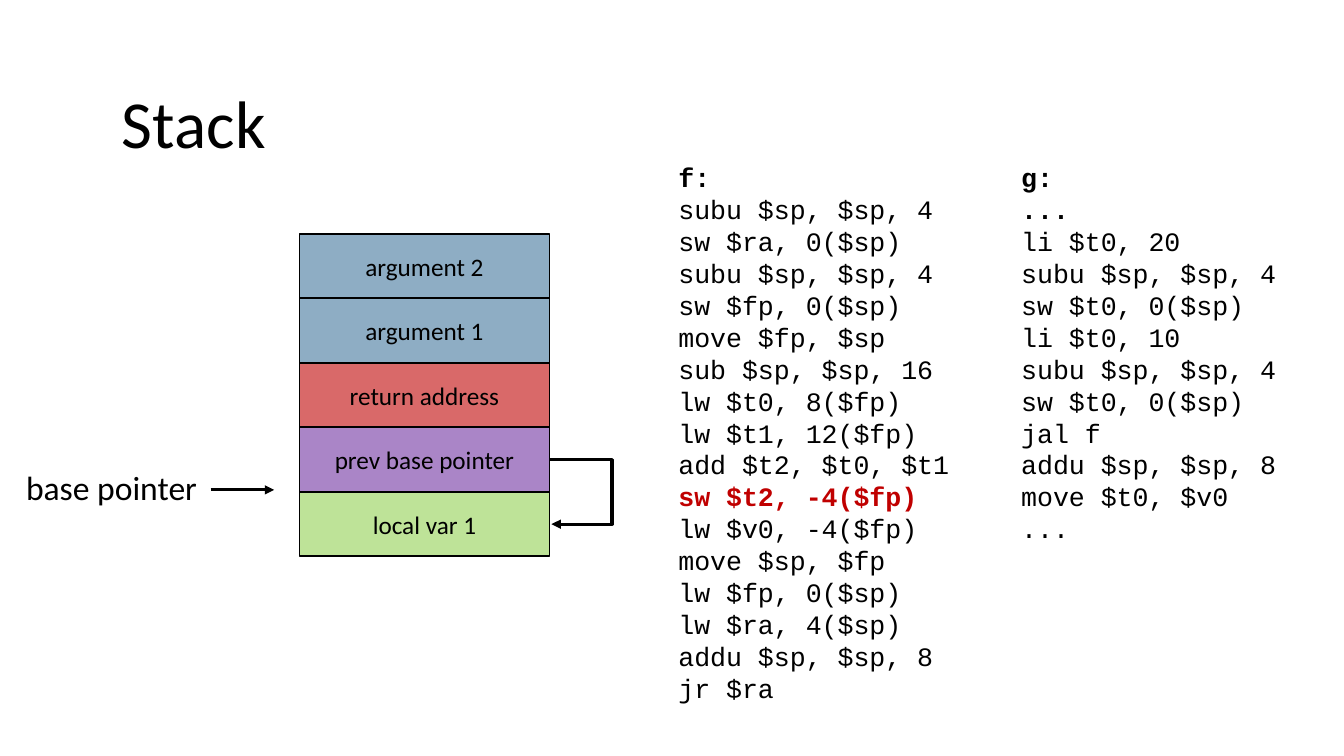
from lxml import etree
from pptx import Presentation
from pptx.dml.color import RGBColor
from pptx.enum.shapes import MSO_CONNECTOR, MSO_SHAPE
from pptx.enum.text import MSO_ANCHOR, PP_ALIGN
from pptx.oxml.ns import qn
from pptx.util import Inches, Pt

STRAIGHT, ELBOW = MSO_CONNECTOR.STRAIGHT, MSO_CONNECTOR.ELBOW
RECTANGLE = MSO_SHAPE.RECTANGLE
TOP, MIDDLE = MSO_ANCHOR.TOP, MSO_ANCHOR.MIDDLE
LEFT, CENTER = PP_ALIGN.LEFT, PP_ALIGN.CENTER

BLACK = RGBColor(0x00, 0x00, 0x00)
RED = RGBColor(0xC0, 0x00, 0x00)
PURPLE = RGBColor(0x70, 0x30, 0xA0)
BLUE = RGBColor(0x40, 0x74, 0x9B)
GREEN = RGBColor(0x92, 0xD0, 0x50)
TEXT_FONT, CODE_FONT = "Calibri", "Courier New"

TITLE = "Stack"
POINTER_LABEL = "base pointer"
STACK_CELLS = [
    ("argument 2", BLUE),
    ("argument 1", BLUE),
    ("return address", RED),
    ("prev base pointer", PURPLE),
    ("local var 1", GREEN),
]
F_CODE = [
    "f:", "subu $sp, $sp, 4", "sw $ra, 0($sp)", "subu $sp, $sp, 4",
    "sw $fp, 0($sp)", "move $fp, $sp", "sub $sp, $sp, 16", "lw $t0, 8($fp)",
    "lw $t1, 12($fp)", "add $t2, $t0, $t1", "sw $t2, -4($fp)",
    "lw $v0, -4($fp)", "move $sp, $fp", "lw $fp, 0($sp)", "lw $ra, 4($sp)",
    "addu $sp, $sp, 8", "jr $ra",
]
G_CODE = [
    "g:", "...", "li $t0, 20", "subu $sp, $sp, 4", "sw $t0, 0($sp)",
    "li $t0, 10", "subu $sp, $sp, 4", "sw $t0, 0($sp)", "jal f",
    "addu $sp, $sp, 8", "move $t0, $v0", "...",
]
# code lines, left edge, box height, indexes of bold lines, indexes of red lines
CODE_COLUMNS = [
    (F_CODE, 6.63, 5.54, {0, 10}, {10}),
    (G_CODE, 10.03, 3.94, {0, 1}, set()),
]

CELL_LEFT, CELL_TOP, CELL_WIDTH, CELL_HEIGHT = 2.97, 2.32, 2.48, 0.64
CELL_OPACITY = 59
LOOP_START, LOOP_WIDTH, LOOP_REACH = 5.46, 0.01, 0.62
CODE_TOP, CODE_WIDTH = 1.55, 3.25


def add_run(paragraph, text, size, font=TEXT_FONT, color=BLACK, bold=False):
    run = paragraph.add_run()
    run.text = text
    run.font.name = font
    run.font.size = Pt(size)
    run.font.bold = bold
    run.font.color.rgb = color


def add_text_box(slide, left, top, width, height):
    box = slide.shapes.add_textbox(Inches(left), Inches(top), Inches(width), Inches(height))
    box.text_frame.word_wrap = True
    return box.text_frame


def add_cell(slide, index, label, color):
    cell = slide.shapes.add_shape(
        RECTANGLE, Inches(CELL_LEFT), Inches(CELL_TOP + index * CELL_HEIGHT),
        Inches(CELL_WIDTH), Inches(CELL_HEIGHT))
    cell.shadow.inherit = False
    cell.fill.solid()
    cell.fill.fore_color.rgb = color
    rgb = cell.fill._xPr.find(".//" + qn("a:srgbClr"))
    etree.SubElement(rgb, qn("a:alpha"), val=str(CELL_OPACITY * 1000))
    cell.line.color.rgb = BLACK
    cell.line.width = Pt(1.25)
    cell.text_frame.vertical_anchor = MIDDLE
    paragraph = cell.text_frame.paragraphs[0]
    paragraph.alignment = CENTER
    add_run(paragraph, label, 18)


def add_arrow(slide, kind, start, end):
    arrow = slide.shapes.add_connector(kind, *map(Inches, start + end))
    arrow.line.color.rgb = BLACK
    arrow.line.width = Pt(2.25)
    etree.SubElement(arrow.line._get_or_add_ln(), qn("a:tailEnd"), type="triangle")
    etree.SubElement(arrow._element.spPr, qn("a:effectLst"))
    return arrow


def add_code(slide, lines, left, height, bold_lines, red_lines):
    frame = add_text_box(slide, left, CODE_TOP, CODE_WIDTH, height)
    for index, line in enumerate(lines):
        paragraph = frame.paragraphs[0] if index == 0 else frame.add_paragraph()
        paragraph.line_spacing = Pt(22.8)
        color = RED if index in red_lines else BLACK
        add_run(paragraph, line, 19, CODE_FONT, color, index in bold_lines)


def main():
    presentation = Presentation()
    presentation.slide_width = Inches(13.33)
    presentation.slide_height = Inches(7.5)
    slide = presentation.slides.add_slide(presentation.slide_layouts[5])

    title = slide.shapes.title
    title.left, title.top = Inches(1.11), Inches(0.76)
    title.width, title.height = Inches(11.09), Inches(0.91)
    title.text_frame.vertical_anchor = TOP
    title.text_frame.paragraphs[0].alignment = LEFT
    add_run(title.text_frame.paragraphs[0], TITLE, 48)

    for index, (label, color) in enumerate(STACK_CELLS):
        add_cell(slide, index, label, color)

    pointer = add_text_box(slide, 0.16, 4.58, 2.04, 0.5)
    add_run(pointer.paragraphs[0], POINTER_LABEL, 24)
    add_arrow(slide, STRAIGHT, (2.09, 4.86), (2.72, 4.86))

    loop_top = CELL_TOP + 3.5 * CELL_HEIGHT
    loop = add_arrow(slide, ELBOW, (LOOP_START, loop_top),
                     (LOOP_START + LOOP_WIDTH, loop_top + CELL_HEIGHT))
    bend = round(LOOP_REACH / LOOP_WIDTH * 100000)
    guides = loop._element.spPr.find(qn("a:prstGeom")).get_or_add_avLst()
    etree.SubElement(guides, qn("a:gd"), name="adj1", fmla=f"val {bend}")

    for column in CODE_COLUMNS:
        add_code(slide, *column)

    presentation.save("out.pptx")


if __name__ == "__main__":
    main()
